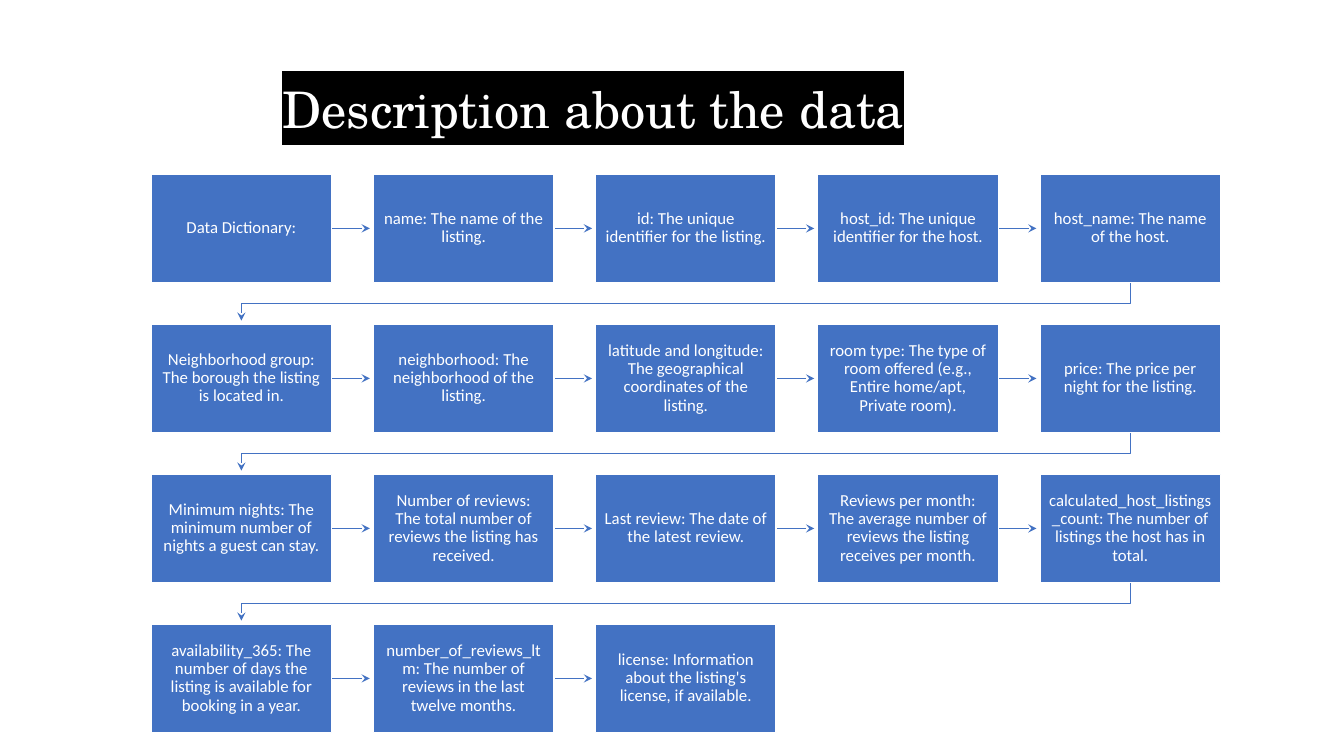
import pptx
import pptx.dml.color
import pptx.enum.shapes
import pptx.enum.text
import pptx.oxml.ns
import pptx.util
import lxml.etree

Cm = pptx.util.Cm
Pt = pptx.util.Pt
qn = pptx.oxml.ns.qn

BLUE, WHITE, BLACK = "4372C3", "FFFFFF", "000000"
COLS = 5
WIDE, HIGH = 4.55, 2.73
STEP_X, STEP_Y = 5.6, 3.78
REACH = 0.96
BEND = 0.54

FIELDS = [
    "Data Dictionary:",
    "name: The name of the listing.",
    "id: The unique identifier for the listing.",
    "host_id: The unique identifier for the host.",
    "host_name: The name of the host.",
    "Neighborhood group: The borough the listing is located in.",
    "neighborhood: The neighborhood of the listing.",
    "latitude and longitude: The geographical coordinates of the listing.",
    "room type: The type of room offered (e.g., Entire home/apt, Private room).",
    "price: The price per night for the listing.",
    "Minimum nights: The minimum number of nights a guest can stay.",
    "Number of reviews: The total number of reviews the listing has received.",
    "Last review: The date of the latest review.",
    "Reviews per month: The average number of reviews the listing receives per month.",
    "calculated_host_listings_count: The number of listings the host has in total.",
    "availability_365: The number of days the listing is available for booking in a year.",
    "number_of_reviews_ltm: The number of reviews in the last twelve months.",
    "license: Information about the listing's license, if available.",
]


def tint(code):
    return pptx.dml.color.RGBColor.from_string(code)


def apply(item, values):
    for key, value in values.items():
        setattr(item, key, value)


def paint(fill, code):
    fill.solid()
    fill.fore_color.rgb = tint(code)


def write(shape, text, font, size, inset_x, inset_y, anchor, space):
    frame = shape.text_frame
    frame.text = text
    apply(frame, {
        "word_wrap": True,
        "auto_size": pptx.enum.text.MSO_AUTO_SIZE.NONE,
        "vertical_anchor": anchor,
        "margin_left": Cm(inset_x), "margin_right": Cm(inset_x),
        "margin_top": Cm(inset_y), "margin_bottom": Cm(inset_y),
    })
    para = frame.paragraphs[0]
    apply(para, {"alignment": pptx.enum.text.PP_ALIGN.CENTER, "line_spacing": space})
    run = para.runs[0]
    apply(run.font, {"name": font, "size": Pt(size)})
    paint(run.font.fill, WHITE)
    return run


def add_title(slide, left, top, width, height):
    title = slide.shapes.title
    apply(title, {"left": Cm(left), "top": Cm(top),
                  "width": Cm(width), "height": Cm(height)})
    run = write(title, "Description about the data", "TeX Gyre Schola", 36,
                0.25, 0.13, pptx.enum.text.MSO_ANCHOR.TOP, 1.0)
    mark = lxml.etree.Element(qn("a:highlight"))
    lxml.etree.SubElement(mark, qn("a:srgbClr"), val=BLACK)
    run.font.fill.fore_color.rgb = tint(WHITE)
    run.font.color.rgb = tint(WHITE)
    run._r.find(qn("a:rPr")).find(qn("a:solidFill")).addnext(mark)


def add_box(slide, text, left, top):
    box = slide.shapes.add_shape(pptx.enum.shapes.MSO_SHAPE.RECTANGLE,
                                 Cm(left), Cm(top), Cm(WIDE), Cm(HIGH))
    box.shadow.inherit = False
    paint(box.fill, BLUE)
    paint(box.line.fill, WHITE)
    box.line.width = Pt(1)
    write(box, text, "Calibri", 12, 0.22, 0.22,
          pptx.enum.text.MSO_ANCHOR.MIDDLE, 0.9)


def style_arrow(arrow):
    paint(arrow.line.fill, BLUE)
    arrow.line.width = Pt(0.75)
    props = arrow.element.spPr
    lxml.etree.SubElement(props.find(qn("a:ln")), qn("a:tailEnd"), type="stealth")
    lxml.etree.SubElement(props, qn("a:effectLst"))


def add_arrow(slide, left, top):
    start, level = left + WIDE, top + HIGH / 2
    style_arrow(slide.shapes.add_connector(
        pptx.enum.shapes.MSO_CONNECTOR.STRAIGHT,
        Cm(start), Cm(level), Cm(start + REACH), Cm(level)))


def add_turn(slide, first, left, top):
    start, end, base = left + WIDE / 2, first + WIDE / 2, top + HIGH
    form = slide.shapes.build_freeform(Cm(start), Cm(base))
    points = [(start, base + BEND), (end, base + BEND), (end, base + REACH)]
    form.add_line_segments([(Cm(x), Cm(y)) for x, y in points], close=False)
    turn = form.convert_to_shape()
    turn.fill.background()
    style_arrow(turn)


def add_flow(slide, left, top):
    for i, text in enumerate(FIELDS):
        row, col = divmod(i, COLS)
        x, y = left + col * STEP_X, top + row * STEP_Y
        if i < len(FIELDS) - 1:
            if col < COLS - 1:
                add_arrow(slide, x, y)
            else:
                add_turn(slide, left, x, y)
        add_box(slide, text, x, y)


def main():
    deck = pptx.Presentation()
    apply(deck, {"slide_width": Cm(33.87), "slide_height": Cm(19.05)})
    slide = deck.slides.add_slide(deck.slide_layouts[5])
    add_title(slide, -0.53, 1.83, 30.96, 1.8)
    add_flow(slide, 3.81, 4.39)
    deck.save("out.pptx")


if __name__ == "__main__":
    main()
